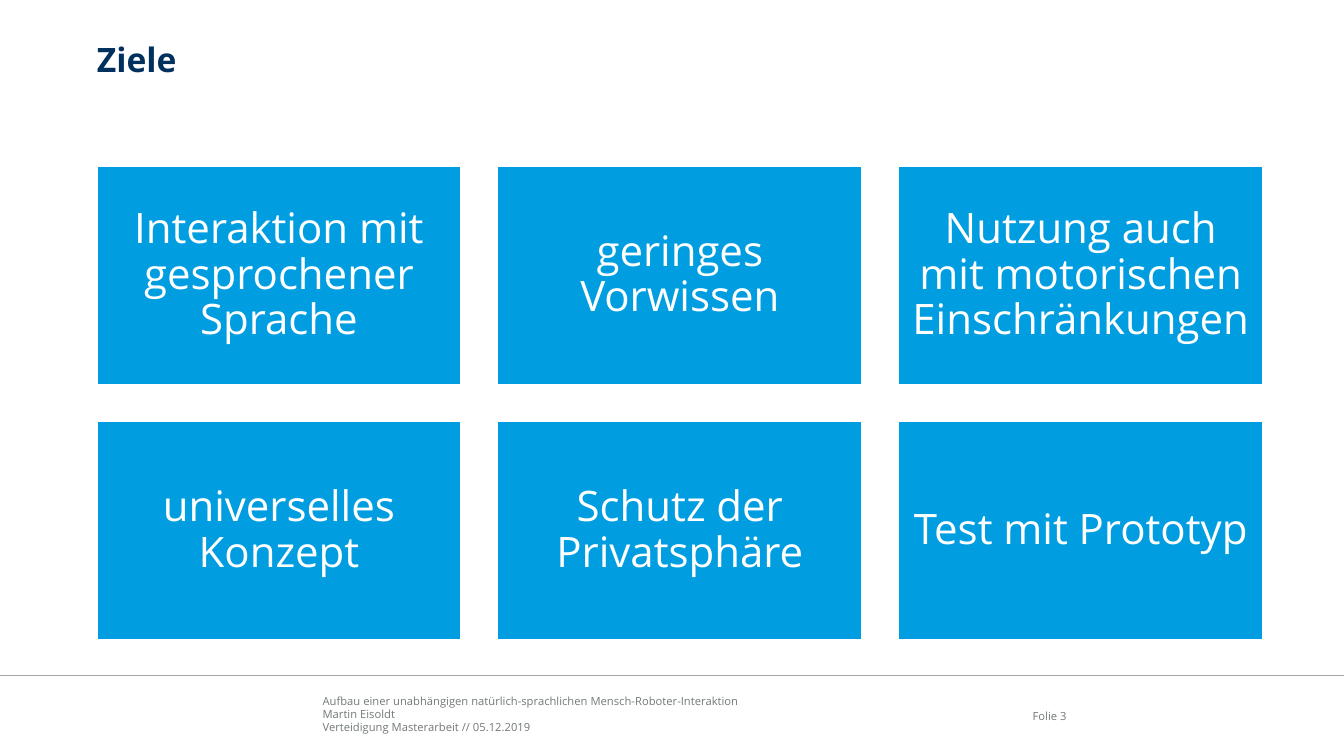
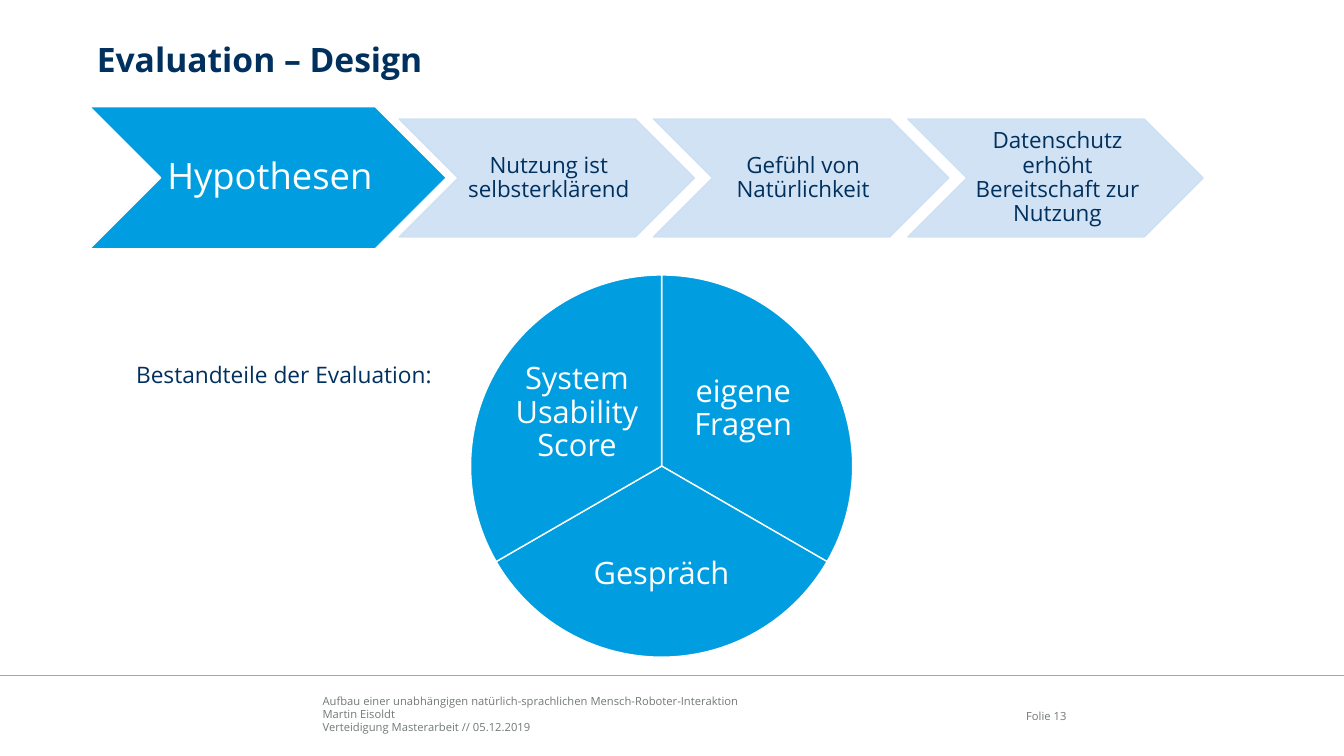
from lxml.etree import SubElement
from pptx import Presentation
from pptx.dml.color import RGBColor
from pptx.enum.shapes import MSO_CONNECTOR, MSO_SHAPE
from pptx.enum.text import MSO_ANCHOR, MSO_AUTO_SIZE, PP_ALIGN
from pptx.oxml.ns import qn
from pptx.util import Cm, Pt

FONT = "Open Sans"
NAVY, BLUE, PALE = "00305E", "009EE0", "CCDFF3"
WHITE, GREY, RULE = "FFFFFF", "727879", "A6A6A6"
SLIDE_WIDTH, SLIDE_HEIGHT = 33.87, 19.05
MARGIN, CONTENT_WIDTH = 2.44, 29.39
FOOTER = [
    "Aufbau einer unabhängigen natürlich-sprachlichen Mensch-Roboter-Interaktion",
    "Martin Eisoldt",
    "Verteidigung Masterarbeit // 05.12.2019",
]


def color(hex_value):
    return RGBColor.from_string(hex_value)


def write(shape, lines, size, hue, align=PP_ALIGN.LEFT, anchor=MSO_ANCHOR.TOP,
          insets=(0, 0, 0, 0), bold=False, spacing=None):
    frame = shape.text_frame
    frame.word_wrap = True
    frame.auto_size = MSO_AUTO_SIZE.NONE
    frame.vertical_anchor = anchor
    (frame.margin_left, frame.margin_top,
     frame.margin_right, frame.margin_bottom) = map(Cm, insets)
    for index, line in enumerate(lines):
        para = frame.add_paragraph() if index else frame.paragraphs[0]
        para.alignment = align
        para.line_spacing = spacing
        span = para.add_run()
        span.text = line
        span.font.name = FONT
        span.font.size = Pt(size)
        span.font.bold = bold
        span.font.color.rgb = color(hue)


def write_label(shape, text, size, hue, insets):
    write(shape, [text], size, hue, PP_ALIGN.CENTER, MSO_ANCHOR.MIDDLE,
          insets, spacing=0.9)


def add_box(page, left, top, width, height):
    return page.shapes.add_textbox(Cm(left), Cm(top), Cm(width), Cm(height))


def add_block(page, kind, left, top, width, height, fill, outline=WHITE):
    block = page.shapes.add_shape(kind, Cm(left), Cm(top), Cm(width), Cm(height))
    block.shadow.inherit = False
    block.fill.solid()
    block.fill.fore_color.rgb = color(fill)
    block.line.color.rgb = color(outline)
    block.line.width = Pt(1)
    return block


def set_opacity(shape, percent):
    for node in shape.element.spPr.iter(qn("a:srgbClr")):
        SubElement(node, qn("a:alpha")).set("val", str(percent * 1000))


def add_footer(page, number):
    write(add_box(page, 8.13, 17.48, 14.4, 1.02), FOOTER, 8, GREY,
          anchor=MSO_ANCHOR.BOTTOM)
    rule = page.shapes.add_connector(
        MSO_CONNECTOR.STRAIGHT, 0, Cm(17.02), Cm(SLIDE_WIDTH), Cm(17.02))
    rule.line.color.rgb = color(RULE)
    rule.line.width = Pt(1)
    SubElement(rule.element.spPr, qn("a:effectLst"))
    write(add_box(page, 24.92, 17.53, 1.96, 1.02), [f"Folie {number}"], 8, GREY,
          PP_ALIGN.RIGHT, MSO_ANCHOR.MIDDLE)


def add_page(deck, title, number):
    page = deck.slides.add_slide(deck.slide_layouts.get_by_name("Title Only"))
    add_footer(page, number)
    heading = page.shapes.title
    heading.left, heading.top = Cm(MARGIN), Cm(0.97)
    heading.width, heading.height = Cm(CONTENT_WIDTH), Cm(1.9)
    write(heading, [title], 24, NAVY, bold=True)
    return page


def add_goal_grid(page, goals, columns=3, top=4.19, height=5.51, gap=0.92):
    width = (CONTENT_WIDTH - (columns - 1) * gap) / columns
    for index, goal in enumerate(goals):
        row, column = divmod(index, columns)
        tile = add_block(page, MSO_SHAPE.RECTANGLE,
                         MARGIN + column * (width + gap),
                         top + row * (height + gap), width, height, BLUE)
        write_label(tile, goal, 30, WHITE, (0.3, 0.3, 0.3, 0.3))


def add_hypotheses(page, heading, hypotheses):
    insets = (0.1, 0.05, 0, 0.05)
    lead = add_block(page, MSO_SHAPE.CHEVRON, 2.26, 2.69, 8.99, 3.58, BLUE)
    write_label(lead, heading, 26, WHITE, insets)
    for index, hypothesis in enumerate(hypotheses):
        step = add_block(page, MSO_SHAPE.CHEVRON, 10.06 + index * 6.41, 3,
                         7.44, 2.97, PALE, PALE)
        set_opacity(step, 90)
        write_label(step, hypothesis, 16, NAVY, insets)


def add_pie(page, parts, left=11.86, top=6.93, size=9.63):
    sweep = 360 / len(parts)
    for index, (text, label_area) in enumerate(parts):
        start = (270 + index * sweep) % 360
        sector = add_block(page, MSO_SHAPE.PIE, left, top, size, size, BLUE)
        sector.adjustments[0] = start * 0.6
        sector.adjustments[1] = (start + sweep) % 360 * 0.6
        write_label(add_box(page, *label_area), text, 22, WHITE,
                    (0.08, 0.08, 0.08, 0.08))


def main():
    deck = Presentation()
    deck.slide_width, deck.slide_height = Cm(SLIDE_WIDTH), Cm(SLIDE_HEIGHT)

    goals = add_page(deck, "Ziele", 3)
    add_goal_grid(goals, [
        "Interaktion mit gesprochener Sprache",
        "geringes Vorwissen",
        "Nutzung auch mit motorischen Einschränkungen",
        "universelles Konzept",
        "Schutz der Privatsphäre",
        "Test mit Prototyp",
    ])

    design = add_page(deck, "Evaluation – Design", 13)
    add_hypotheses(design, "Hypothesen", [
        "Nutzung ist selbsterklärend",
        "Gefühl von Natürlichkeit",
        "Datenschutz erhöht Bereitschaft zur Nutzung",
    ])
    add_pie(design, [
        ("eigene Fragen", (17.09, 8.71, 3.28, 3.2)),
        ("Gespräch", (14.5, 13, 4.34, 2.97)),
        ("System Usability Score", (12.9, 8.81, 3.28, 3.2)),
    ])
    write(add_box(design, 3.18, 8.97, 8.28, 0.94),
          ["Bestandteile der Evaluation:"], 16.2, NAVY,
          insets=(0.25, 0.13, 0.25, 0.13))

    deck.save("out.pptx")


if __name__ == "__main__":
    main()
